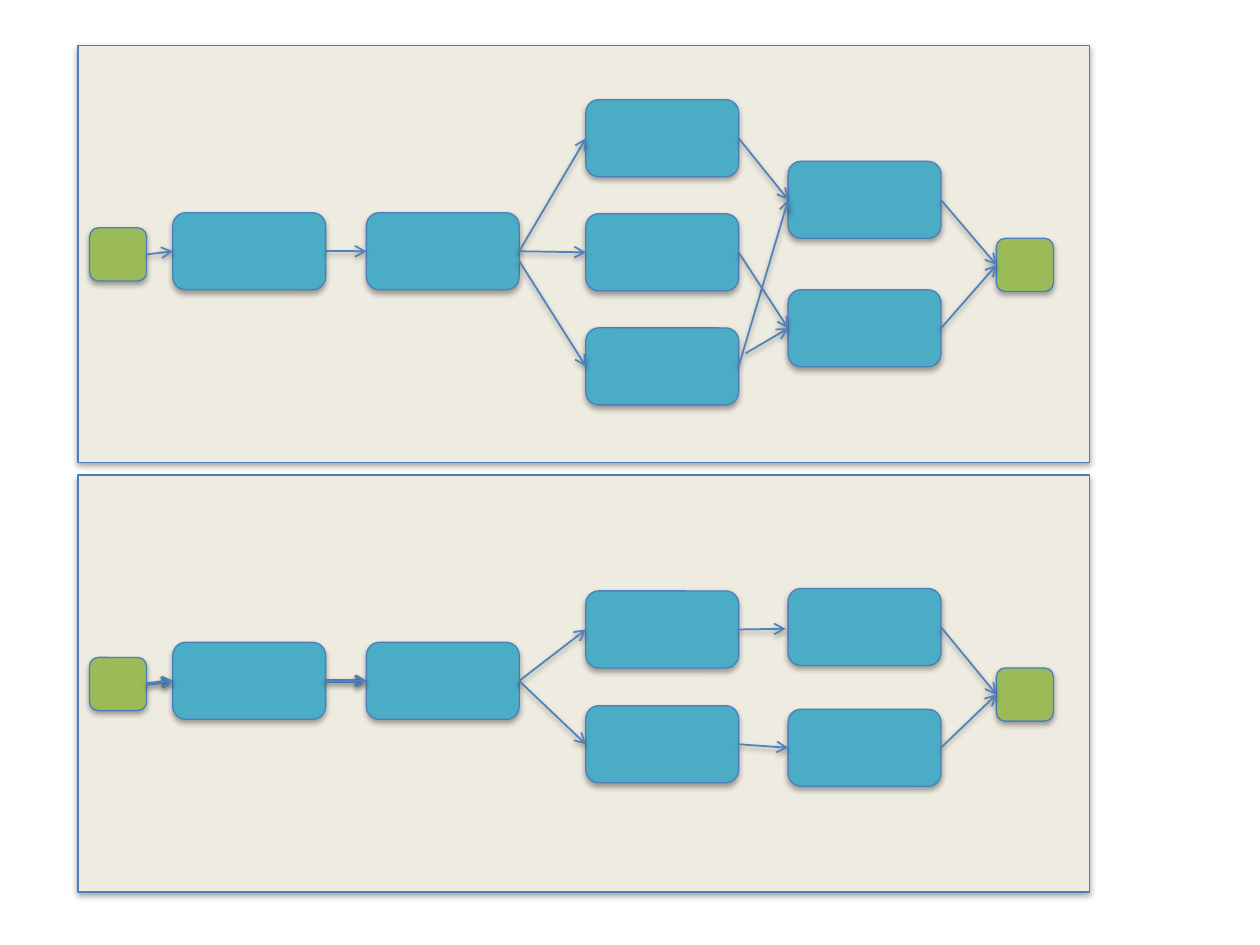
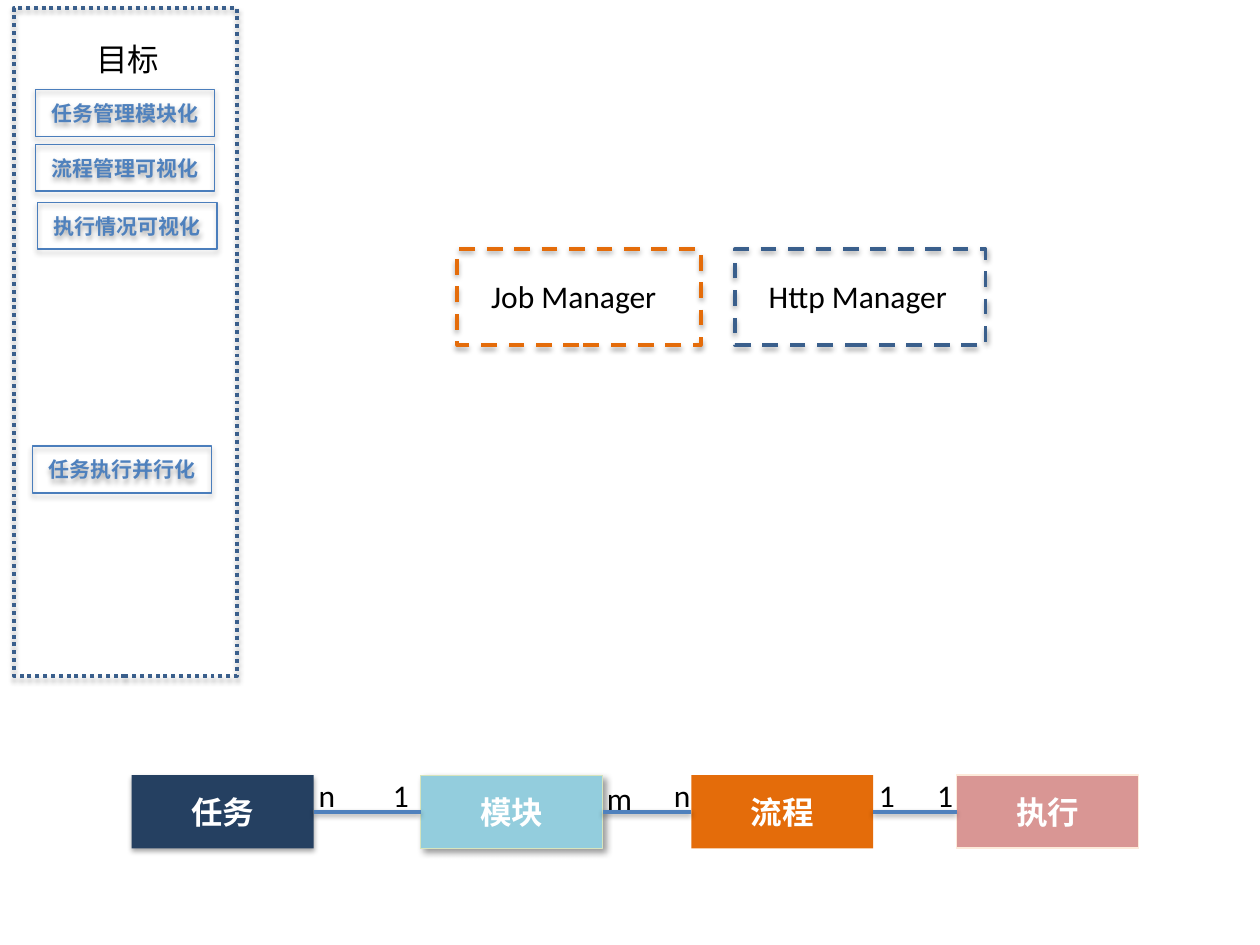
import lxml.etree
import pptx
import pptx.dml.color
import pptx.enum.dml
import pptx.enum.shapes
import pptx.enum.text
import pptx.oxml.ns
import pptx.util

Pt = pptx.util.Pt
RGBColor = pptx.dml.color.RGBColor
Shape = pptx.enum.shapes.MSO_SHAPE
Dash = pptx.enum.dml.MSO_LINE
Align = pptx.enum.text.PP_ALIGN
Anchor = pptx.enum.text.MSO_ANCHOR
qn = pptx.oxml.ns.qn

BLACK = RGBColor(0x00, 0x00, 0x00)
WHITE = RGBColor(0xFF, 0xFF, 0xFF)
BLUE = RGBColor(0x4F, 0x81, 0xBD)
OUTLINE = RGBColor(0x4B, 0x7E, 0xBC)
DARK_BLUE = RGBColor(0x3A, 0x5F, 0x8C)
NAVY = RGBColor(0x25, 0x40, 0x61)
TEAL = RGBColor(0x4B, 0xAC, 0xC6)
LIGHT_TEAL = RGBColor(0x93, 0xCD, 0xDD)
GREEN = RGBColor(0x9B, 0xBB, 0x59)
PALE_GREEN = RGBColor(0xD7, 0xE4, 0xBD)
ORANGE = RGBColor(0xE4, 0x6C, 0x0A)
PINK = RGBColor(0xD9, 0x96, 0x94)
CREAM = RGBColor(0xFD, 0xEA, 0xDA)
BEIGE = RGBColor(0xEE, 0xEC, 0xE1)

# Shadows: opacity in percent, blur and distance in points, angle in degrees
SHAPE_SHADOW = (35, 3.15, 1.8, 90)
LINE_SHADOW = (38, 3.15, 1.6, 90)
DIAGONAL_SHADOW = (40, 4, 3, 45)

PANEL_LEFT, PANEL_TOP, PANEL_PITCH = 44.6, 26, 245.5
PANEL_WIDTH, PANEL_HEIGHT = 578.2, 238.3
STAGE_SIZE = (87.3, 44)
END_SIZE = (32.6, 30.4)
COLUMNS = (98.8, 209.4, 334.8, 450.4)
LEFT_SITE, RIGHT_SITE = 1, 3

# Nodes that both flows share: left, and top within the panel
COMMON_NODES = {
    "start": (51.2, 104.2),
    "prepare": (COLUMNS[0], 95.6),
    "split": (COLUMNS[1], 95.6),
    "end": (569.4, 110.2),
}
COMMON_LINKS = [("start", "prepare"), ("prepare", "split")]
WIDE_FLOW_NODES = {
    "task 1": (COLUMNS[2], 31),
    "task 2": (COLUMNS[2], 96.2),
    "task 3": (COLUMNS[2], 161.4),
    "merge 1": (COLUMNS[3], 66.2),
    "merge 2": (COLUMNS[3], 139.6),
}
# Source, target, and where needed the shift of the begin and end points
WIDE_FLOW_LINKS = [
    ("split", "task 1"),
    ("split", "task 2"),
    ("split", "task 3", (0, 5.5)),
    ("task 1", "merge 1"),
    ("task 3", "merge 1"),
    ("task 2", "merge 2"),
    ("task 3", "merge 2", (4, -7.5)),
    ("merge 1", "end"),
    ("merge 2", "end"),
]
NARROW_FLOW_NODES = {
    "task 1": (COLUMNS[2], 66.2),
    "task 2": (COLUMNS[2], 131.8),
    "merge 1": (COLUMNS[3], 64.8),
    "merge 2": (COLUMNS[3], 133.8),
}
NARROW_FLOW_LINKS = [
    ("split", "task 1"),
    ("split", "task 2"),
    ("task 1", "merge 1", (0, 0), (-1.5, 1)),
    ("task 2", "merge 2"),
    ("merge 1", "end"),
    ("merge 2", "end"),
]

GOALS = [
    ("任务管理模块化", 20.2, 51.2),
    ("流程管理可视化", 20.2, 82.4),
    ("执行情况可视化", 21.6, 115.6),
    ("任务执行并行化", 18.6, 254.9),
]
MANAGERS = [
    ("Job Manager", 261.4, 139, ORANGE, 113),
    ("Http Manager", 420, 143.2, DARK_BLUE, 126),
]
# Text, left, fill, line colour, line width, shadow, font
ENTITIES = [
    ("任务", 75.2, NAVY, None, 0, SHAPE_SHADOW, "Noto Sans CJK SC"),
    ("模块", 240.4, LIGHT_TEAL, PALE_GREEN, 0.75, DIAGONAL_SHADOW, "Arial"),
    ("流程", 395, ORANGE, None, 0, None, "Arial"),
    ("执行", 546.6, PINK, CREAM, 1, None, "Arial"),
]
ENTITY_TOP, ENTITY_WIDTH, ENTITY_HEIGHT = 443, 104, 41.8
CARDINALITIES = [
    ("n", 175, 440),
    ("1", 217.4, 440),
    ("m", 339.8, 441.4),
    ("n", 378, 440),
    ("1", 495.2, 440),
    ("1", 528.4, 440),
]


def add_shadow(effects, shadow):
    """Put an outer shadow into an effect list."""
    opacity, blur, distance, angle = shadow
    outer = lxml.etree.SubElement(
        effects, qn("a:outerShdw"), blurRad=str(Pt(blur)), dist=str(Pt(distance)),
        dir=str(angle * 60000), rotWithShape="0")
    color = lxml.etree.SubElement(outer, qn("a:srgbClr"), val=str(BLACK))
    lxml.etree.SubElement(color, qn("a:alpha"), val=str(opacity * 1000))


def add_box(shapes, kind, left, top, width, height, fill=None, line=OUTLINE,
            line_width=0.75, dash=None, shadow=SHAPE_SHADOW):
    """Add a preset shape with its fill, outline and shadow."""
    shape = shapes.add_shape(kind, Pt(left), Pt(top), Pt(width), Pt(height))
    if fill is None:
        shape.fill.background()
    else:
        shape.fill.solid()
        shape.fill.fore_color.rgb = fill
    if line is None:
        shape.line.fill.background()
    else:
        shape.line.color.rgb = line
        shape.line.width = Pt(line_width)
    if dash is not None:
        shape.line.dash_style = dash
    shape.shadow.inherit = False
    if shadow:
        add_shadow(shape._element.spPr.find(qn("a:effectLst")), shadow)
    return shape


def write_text(shape, text, size=18, color=BLACK, font="Calibri", bold=False,
               align=Align.CENTER):
    """Write one formatted paragraph into a shape."""
    shape.text_frame.word_wrap = True
    paragraph = shape.text_frame.paragraphs[0]
    paragraph.text = text
    paragraph.alignment = align
    paragraph.font.name = font
    paragraph.font.size = Pt(size)
    paragraph.font.bold = bold
    paragraph.font.color.rgb = color


def add_label(shapes, text, left, top, width, align=Align.LEFT):
    """Add a one-line text box."""
    label = shapes.add_textbox(Pt(left), Pt(top), Pt(width), Pt(29))
    write_text(label, text, align=align)
    label.text_frame.auto_size = pptx.enum.text.MSO_AUTO_SIZE.SHAPE_TO_FIT_TEXT


def add_link(shapes, source, target, width=1, begin_shift=(0, 0), end_shift=(0, 0),
             arrow=True):
    """Connect the right side of one shape to the left side of another."""
    connector = shapes.add_connector(
        pptx.enum.shapes.MSO_CONNECTOR.STRAIGHT,
        source.left + source.width + Pt(begin_shift[0]),
        source.top + source.height // 2 + Pt(begin_shift[1]),
        target.left + Pt(end_shift[0]),
        target.top + target.height // 2 + Pt(end_shift[1]))
    if not any(begin_shift):
        connector.begin_connect(source, RIGHT_SITE)
    if not any(end_shift):
        connector.end_connect(target, LEFT_SITE)
    connector.line.color.rgb = BLUE
    connector.line.width = Pt(width)
    properties = connector._element.spPr
    if arrow:
        lxml.etree.SubElement(properties.find(qn("a:ln")), qn("a:tailEnd"), type="arrow")
    effects = lxml.etree.SubElement(properties, qn("a:effectLst"))
    add_shadow(effects, LINE_SHADOW)


def add_flow(slide, panel_top, extra_nodes, extra_links, heavy_links=()):
    """Draw one panel with its nodes and arrows as a group."""
    shapes = slide.shapes.add_group_shape().shapes
    add_box(shapes, Shape.RECTANGLE, PANEL_LEFT, panel_top, PANEL_WIDTH, PANEL_HEIGHT,
            BEIGE)
    nodes = {}
    for name, (left, top) in {**COMMON_NODES, **extra_nodes}.items():
        is_end = name in ("start", "end")
        size, fill = (END_SIZE, GREEN) if is_end else (STAGE_SIZE, TEAL)
        nodes[name] = add_box(shapes, Shape.ROUNDED_RECTANGLE, left, panel_top + top,
                              *size, fill)
    for source, target in heavy_links:
        add_link(shapes, nodes[source], nodes[target], 2)
    for source, target, *shifts in COMMON_LINKS + extra_links:
        add_link(shapes, nodes[source], nodes[target], 1, *shifts)


def add_goals(slide):
    """Draw the dotted goal column with its boxes."""
    add_box(slide.shapes, Shape.RECTANGLE, 8, 4.5, 127.4, 381.8, None, DARK_BLUE, 2.25,
            Dash.ROUND_DOT)
    add_label(slide.shapes, "目标", -11.5, 19.4, 169, Align.CENTER)
    for text, left, top in GOALS:
        box = add_box(slide.shapes, Shape.RECTANGLE, left, top, 102.4, 26.8)
        write_text(box, text, 12, BLUE, bold=True)


def add_managers(slide):
    """Draw the dashed manager boxes with their labels."""
    for text, left, width, color, label_width in MANAGERS:
        add_box(slide.shapes, Shape.RECTANGLE, left, 142.4, width, 54.8, None, color,
                2.25, Dash.DASH)
        add_label(slide.shapes, text, left + 12.2, 155, label_width)


def add_entities(slide):
    """Draw the chain of entities with their cardinalities."""
    shapes = slide.shapes.add_group_shape().shapes
    entities = []
    for text, left, fill, line, line_width, shadow, font in ENTITIES:
        box = add_box(shapes, Shape.RECTANGLE, left, ENTITY_TOP, ENTITY_WIDTH,
                      ENTITY_HEIGHT, fill, line, line_width, shadow=shadow)
        box.text_frame.vertical_anchor = Anchor.MIDDLE
        write_text(box, text, 18, WHITE, font, bold=True)
        entities.append(box)
    for source, target in zip(entities, entities[1:]):
        add_link(shapes, source, target, 2, arrow=False)
    for text, left, top in CARDINALITIES:
        add_label(shapes, text, left, top, 23.8)


def main():
    """Build both slides and save the presentation."""
    presentation = pptx.Presentation()
    presentation.slide_width, presentation.slide_height = Pt(720), Pt(540)
    blank = presentation.slide_layouts[6]

    flows = presentation.slides.add_slide(blank)
    add_flow(flows, PANEL_TOP + PANEL_PITCH, NARROW_FLOW_NODES, NARROW_FLOW_LINKS,
             COMMON_LINKS)
    add_flow(flows, PANEL_TOP, WIDE_FLOW_NODES, WIDE_FLOW_LINKS)

    overview = presentation.slides.add_slide(blank)
    add_goals(overview)
    add_managers(overview)
    add_entities(overview)
    presentation.save("out.pptx")


main()
